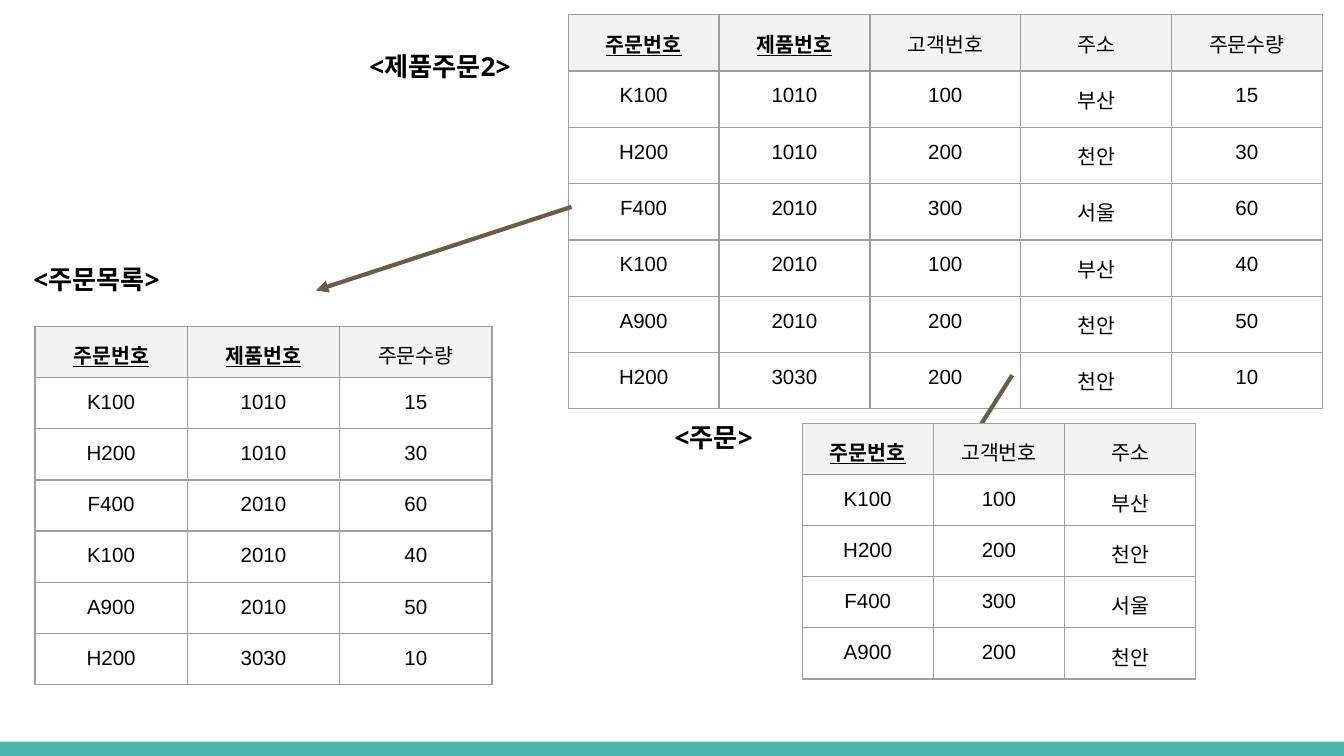
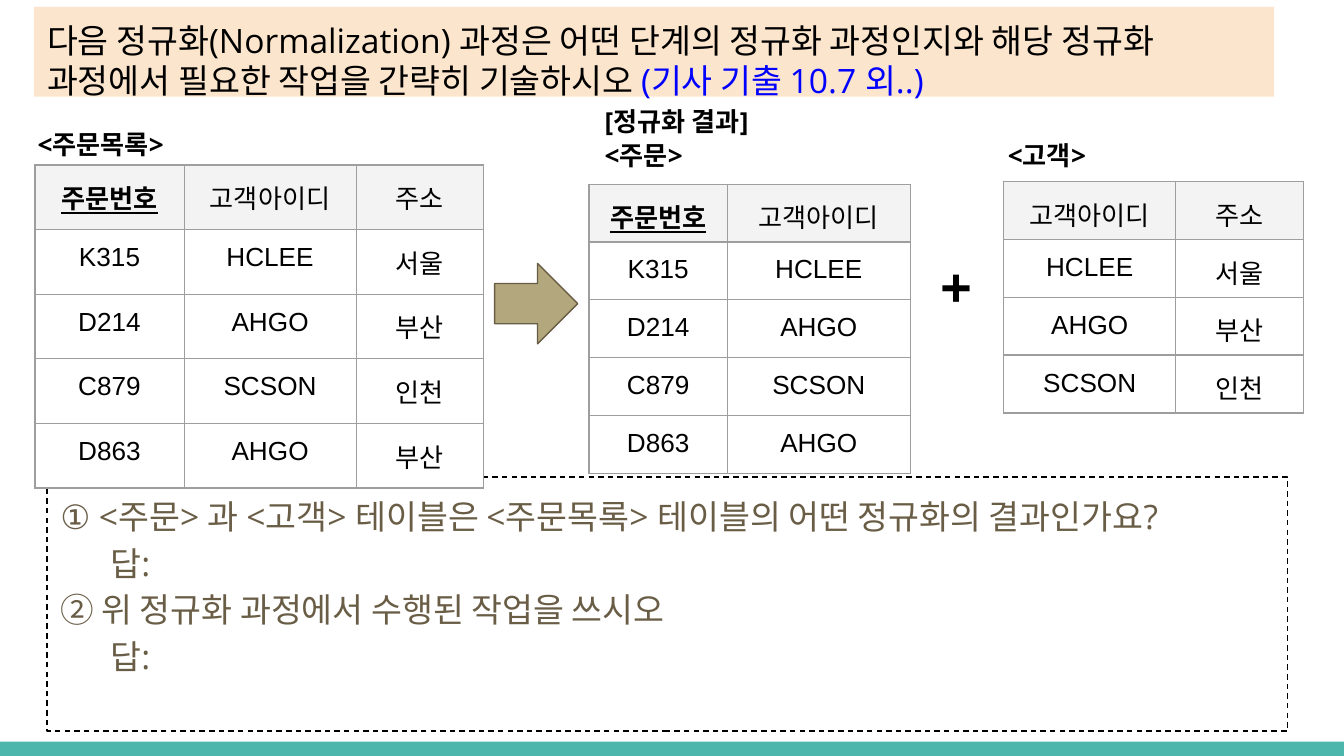
from lxml import etree
from pptx import Presentation
from pptx.dml.color import RGBColor
from pptx.enum.dml import MSO_LINE
from pptx.enum.shapes import MSO_CONNECTOR, MSO_SHAPE
from pptx.enum.text import MSO_ANCHOR, PP_ALIGN
from pptx.oxml.ns import qn
from pptx.util import Cm, Pt

WIDTH, HEIGHT = 25.4, 14.29
BAND_HEIGHT = 0.27
INSET = 0.25
TEAL, BROWN, KHAKI, PEACH = "4DB6AC", "695D46", "B3A77D", "FCE5CD"
BLACK, WHITE, BLUE, GRID, HEADER = "000000", "FFFFFF", "0000FF", "9E9E9E", "F3F3F3"

BODY = {"name": "Open Sans", "size": Pt(18), "bold": False}
LABEL = {"name": "Open Sans", "size": Pt(14), "bold": True}
PLUS = {"name": "Open Sans", "size": Pt(30), "bold": True}
CELL = {"name": "Arial", "bold": False, "underline": False}
KEY = {"name": "Arial", "bold": True, "underline": True}

PRODUCT_ORDERS = [
    ("주문번호", "제품번호", "고객번호", "주소", "주문수량"),
    ("K100", "1010", "100", "부산", "15"),
    ("H200", "1010", "200", "천안", "30"),
    ("F400", "2010", "300", "서울", "60"),
    ("K100", "2010", "100", "부산", "40"),
    ("A900", "2010", "200", "천안", "50"),
    ("H200", "3030", "200", "천안", "10"),
]
ORDER_LIST = [
    ("주문번호", "고객아이디", "주소"),
    ("K315", "HCLEE", "서울"),
    ("D214", "AHGO", "부산"),
    ("C879", "SCSON", "인천"),
    ("D863", "AHGO", "부산"),
]
QUESTIONS = [
    ("① <주문> 과 <고객> 테이블은 <주문목록> 테이블의 어떤 정규화의 결과인가요?", 0),
    ("답:", 0.95),
    ("② 위 정규화 과정에서 수행된 작업을 쓰시오", 0),
    ("답:", 0.95),
]


def color(hex_code):
    return RGBColor.from_string(hex_code)


def project(relation, *columns):
    """Keep the given columns and drop duplicate rows, as in normalization."""
    return list(dict.fromkeys(tuple(row[c] for c in columns) for row in relation))


def add_border(cell):
    properties = cell._tc.get_or_add_tcPr()
    for side in ("a:lnL", "a:lnR", "a:lnT", "a:lnB"):
        line = etree.SubElement(properties, qn(side), w=str(Pt(0.75)))
        fill = etree.SubElement(line, qn("a:solidFill"))
        etree.SubElement(fill, qn("a:srgbClr"), val=GRID)


class Deck:
    """The shared style and the slide now being built."""

    def __init__(self):
        self.presentation = Presentation()
        self.presentation.slide_width = Cm(WIDTH)
        self.presentation.slide_height = Cm(HEIGHT)
        self.slide = None

    def new_slide(self):
        self.slide = self.presentation.slides.add_slide(self.presentation.slide_layouts[6])
        self.shape(MSO_SHAPE.RECTANGLE, 0, HEIGHT - BAND_HEIGHT, WIDTH, BAND_HEIGHT, fill=TEAL)

    def shape(self, preset, left, top, width, height, fill=None, line=None):
        shape = self.slide.shapes.add_shape(preset, Cm(left), Cm(top), Cm(width), Cm(height))
        shape.shadow.inherit = False
        if fill:
            shape.fill.solid()
            shape.fill.fore_color.rgb = color(fill)
        else:
            shape.fill.background()
        if line:
            shape.line.color.rgb = color(line)
            shape.line.width = Pt(0.75)
        else:
            shape.line.fill.background()
        return shape

    def frame(self, shape):
        """Give a shape's text the common insets, wrapping and top anchor."""
        frame = shape.text_frame
        frame.word_wrap = True
        frame.vertical_anchor = MSO_ANCHOR.TOP
        for side in ("left", "right", "top", "bottom"):
            setattr(frame, f"margin_{side}", Cm(INSET))
        return frame

    def run(self, paragraph, text, style, ink=BLACK):
        run = paragraph.add_run()
        run.text = text
        for attribute, value in style.items():
            setattr(run.font, attribute, value)
        run.font.color.rgb = color(ink)

    def label(self, text, left, top, width=4.04, height=0.76, style=LABEL):
        box = self.slide.shapes.add_textbox(Cm(left), Cm(top), Cm(width), Cm(height))
        self.run(self.frame(box).paragraphs[0], text, style)

    def heading(self, *parts):
        banner = self.shape(MSO_SHAPE.RECTANGLE, 0.64, 0.13, 23.44, 1.7, fill=PEACH)
        paragraph = self.frame(banner).paragraphs[0]
        paragraph.alignment = PP_ALIGN.LEFT
        for text, ink in parts:
            self.run(paragraph, text, BODY, ink)

    def questions(self, lines):
        panel = self.shape(MSO_SHAPE.RECTANGLE, 0.89, 9.02, 23.44, 4.8, line=BLACK)
        panel.line.dash_style = MSO_LINE.DASH
        frame = self.frame(panel)
        for number, (text, indent) in enumerate(lines):
            paragraph = frame.add_paragraph() if number else frame.paragraphs[0]
            paragraph.alignment = PP_ALIGN.LEFT
            paragraph.line_spacing = 1.15
            paragraph._p.get_or_add_pPr().set("marL", str(Cm(indent)))
            self.run(paragraph, text, BODY, BROWN)

    def arrow(self, start, end):
        points = [Cm(value) for value in (*start, *end)]
        arrow = self.slide.shapes.add_connector(MSO_CONNECTOR.STRAIGHT, *points)
        arrow.line.color.rgb = color(BROWN)
        arrow.line.width = Pt(2.25)
        etree.SubElement(arrow.line._get_or_add_ln(), qn("a:tailEnd"), type="triangle")
        etree.SubElement(arrow._element.spPr, qn("a:effectLst"))

    def table(self, relation, left, top, widths, size, heights, keys=0):
        """Draw a relation; the first `keys` headings are marked as its key."""
        row_heights = [heights[0]] + [heights[1]] * (len(relation) - 1)
        table = self.slide.shapes.add_table(
            len(relation), len(widths), Cm(left), Cm(top),
            Cm(sum(widths)), Cm(sum(row_heights))).table
        table.first_row = table.horz_banding = False
        for column, width in zip(table.columns, widths):
            column.width = Cm(width)
        for r, values in enumerate(relation):
            table.rows[r].height = Cm(row_heights[r])
            for c, value in enumerate(values):
                style = KEY if r == 0 and c < keys else CELL
                self.cell(table.cell(r, c), value, {**style, "size": Pt(size)},
                          WHITE if r else HEADER)

    def cell(self, cell, text, style, fill):
        for side in ("left", "right", "top", "bottom"):
            setattr(cell, f"margin_{side}", Cm(INSET))
        add_border(cell)
        cell.fill.solid()
        cell.fill.fore_color.rgb = color(fill)
        paragraph = cell.text_frame.paragraphs[0]
        paragraph.alignment = PP_ALIGN.CENTER
        self.run(paragraph, text, style)


def build_order_split(deck):
    deck.new_slide()
    look = {"size": 11, "heights": (0.69, 0.76)}
    deck.table(PRODUCT_ORDERS, 10.74, 0.28, [2.85] * 5, keys=2, **look)
    deck.label("<제품주문2>", 6.73, 0.71)
    deck.arrow((10.8, 3.91), (5.97, 5.49))
    deck.arrow((19.13, 7.09), (18.39, 8.26))
    deck.label("<주문목록>", 0.38, 4.72)
    deck.label("<주문>", 12.5, 7.72, width=2.69)
    deck.table(project(PRODUCT_ORDERS, 0, 1, 4), 0.66, 6.17, [2.88] * 3, keys=2, **look)
    deck.table(project(PRODUCT_ORDERS, 0, 2, 3), 15.16, 8, [2.48] * 3, keys=1, **look)


def build_exam_question(deck):
    deck.new_slide()
    look = {"size": 14, "heights": (0.99, 0.99)}
    deck.questions(QUESTIONS)
    deck.heading(
        ("다음 정규화(Normalization) 과정은 어떤 단계의 정규화 과정인지와 "
         "해당 정규화 과정에서 필요한 작업을 간략히 기술하시오 ", BLACK),
        ("(기사 기출 10.7 외..)", BLUE))
    deck.table(ORDER_LIST, 0.66, 3.12, [2.82, 3.25, 2.41], keys=1, **look)
    deck.label("<주문목록>", 0.46, 2.18)
    deck.label("<주문>", 11.18, 2.39)
    deck.label("<고객>", 18.8, 2.39)
    deck.label("[정규화 결과]", 11.18, 1.75)
    deck.shape(MSO_SHAPE.RIGHT_ARROW, 9.35, 4.98, 1.57, 1.52, fill=KHAKI, line=BROWN)
    deck.label("+", 17.53, 4.52, width=1.09, height=1.7, style=PLUS)
    deck.table(project(ORDER_LIST, 0, 1), 11.13, 3.48, [2.62, 3.45], keys=1, **look)
    deck.table(project(ORDER_LIST, 1, 2), 18.97, 3.43, [3.25, 2.41], **look)


def main():
    deck = Deck()
    build_order_split(deck)
    build_exam_question(deck)
    deck.presentation.save("out.pptx")


if __name__ == "__main__":
    main()
